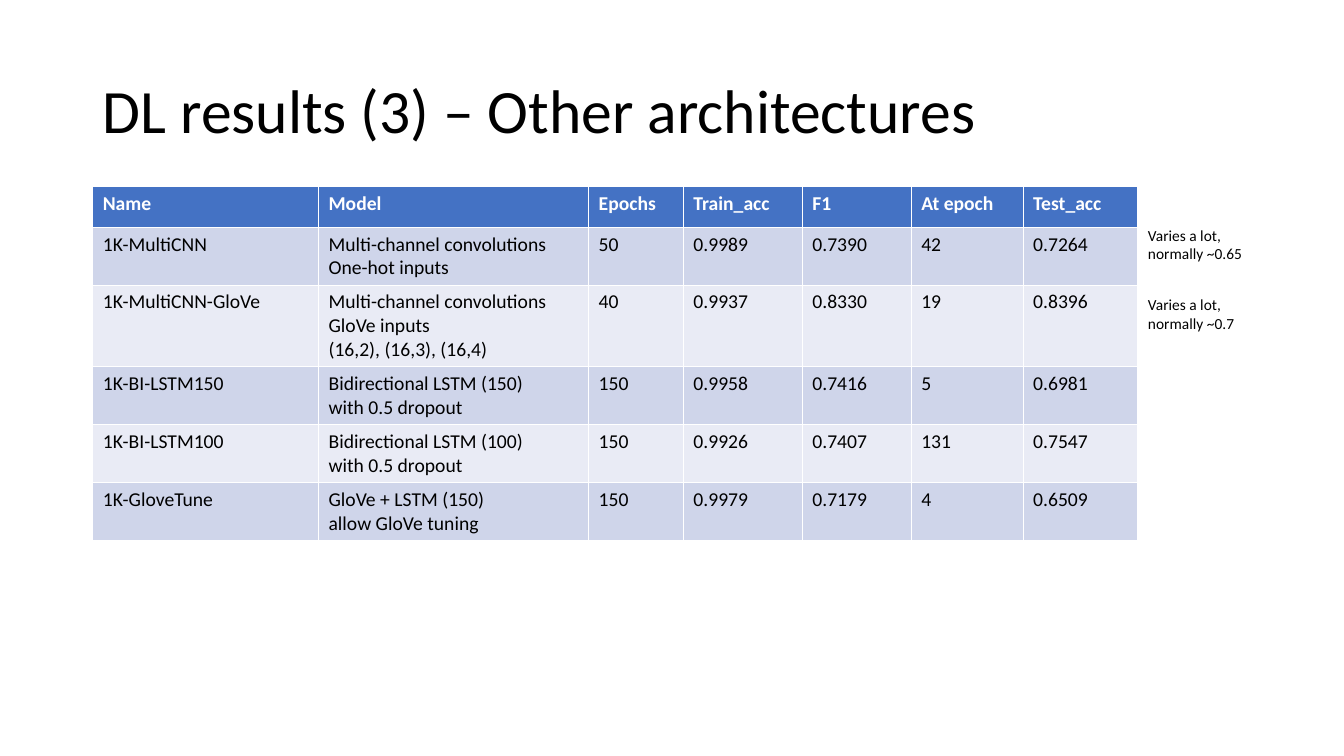
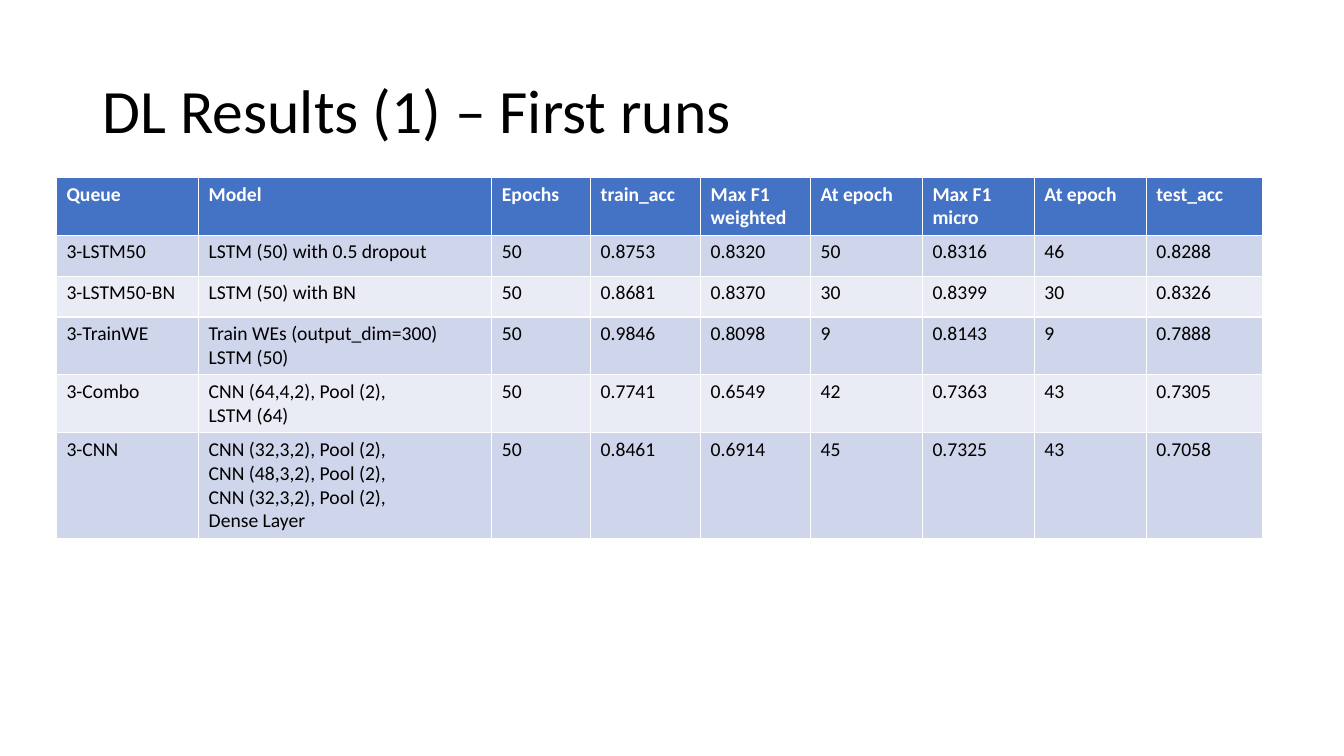
from pptx import Presentation
from pptx.dml.color import RGBColor
from pptx.enum.text import MSO_ANCHOR, MSO_AUTO_SIZE, PP_ALIGN
from pptx.util import Inches, Pt

BLACK, WHITE = "000000", "FFFFFF"
HEADER_FILL = "4472C4"
BAND_FILLS = ["CFD5EA", "E9EBF5"]
ROW_HEIGHT = 5.41
TITLE_FORMAT = {"size": Pt(44), "name": "Calibri", "bold": False}
HEADER_FORMAT = {"size": Pt(14), "name": "Calibri", "bold": True}
BODY_FORMAT = HEADER_FORMAT | {"bold": False}
NOTE_FORMAT = BODY_FORMAT | {"size": Pt(11)}

presentation = Presentation()
presentation.slide_width = Inches(13.333)
presentation.slide_height = Inches(7.5)


def place(left, top, width, height):
    """Turn percentages of the slide's size into a position and a size."""
    across, down = presentation.slide_width, presentation.slide_height
    return [round(share * length / 100) for share, length in
            zip((left, top, width, height), (across, down, across, down))]


def write(text_frame, text, font_format, color):
    text_frame.text = text
    for paragraph in text_frame.paragraphs:
        for run in paragraph.runs:
            for name, value in font_format.items():
                setattr(run.font, name, value)
            run.font.color.rgb = RGBColor.from_string(color)


# Column widths, table corners and note boxes are percentages of the slide.
slides = [
    {
        "title": "DL results (3) – Other architectures",
        "corner": (6.9, 24.67),
        "columns": [16.8, 20.1, 7.05, 8.85, 8.1, 8.33, 8.55],
        "rows": [
            ["Name", "Model", "Epochs", "Train_acc", "F1", "At epoch", "Test_acc"],
            ["1K-MultiCNN", "Multi-channel convolutions\nOne-hot inputs",
             "50", "0.9989", "0.7390", "42", "0.7264"],
            ["1K-MultiCNN-GloVe",
             "Multi-channel convolutions\nGloVe inputs\n(16,2), (16,3), (16,4)",
             "40", "0.9937", "0.8330", "19", "0.8396"],
            ["1K-BI-LSTM150", "Bidirectional LSTM (150)\nwith 0.5 dropout",
             "150", "0.9958", "0.7416", "5", "0.6981"],
            ["1K-BI-LSTM100", "Bidirectional LSTM (100)\nwith 0.5 dropout",
             "150", "0.9926", "0.7407", "131", "0.7547"],
            ["1K-GloveTune", "GloVe + LSTM (150)\nallow GloVe tuning",
             "150", "0.9979", "0.7179", "4", "0.6509"],
        ],
        "notes": [
            ("Varies a lot,\nnormally ~0.65", 29.2, 8.55),
            ("Varies a lot,\nnormally ~0.7", 38.4, 7.95),
        ],
    },
    {
        "title": "DL Results (1) – First runs",
        "corner": (4.2, 23.47),
        "columns": [10.58, 21.82, 7.35, 8.18, 8.18, 8.33, 8.33, 8.33, 8.62],
        "rows": [
            ["Queue", "Model", "Epochs", "train_acc", "Max F1 weighted",
             "At epoch", "Max F1 micro", "At epoch", "test_acc"],
            ["3-LSTM50", "LSTM (50) with 0.5 dropout",
             "50", "0.8753", "0.8320", "50", "0.8316", "46", "0.8288"],
            ["3-LSTM50-BN", "LSTM (50) with BN",
             "50", "0.8681", "0.8370", "30", "0.8399", "30", "0.8326"],
            ["3-TrainWE", "Train WEs (output_dim=300)\nLSTM (50)",
             "50", "0.9846", "0.8098", "9", "0.8143", "9", "0.7888"],
            ["3-Combo", "CNN (64,4,2), Pool (2),\nLSTM (64)",
             "50", "0.7741", "0.6549", "42", "0.7363", "43", "0.7305"],
            ["3-CNN",
             "CNN (32,3,2), Pool (2),\nCNN (48,3,2), Pool (2),\n"
             "CNN (32,3,2), Pool (2),\nDense Layer",
             "50", "0.8461", "0.6914", "45", "0.7325", "43", "0.7058"],
        ],
        "notes": [],
    },
]

title_only = presentation.slide_layouts.get_by_name("Title Only")
for content in slides:
    slide = presentation.slides.add_slide(title_only)

    title = slide.shapes.title
    title.left, title.top, title.width, title.height = place(6.9, 5.33, 86.25, 19.33)
    write(title.text_frame, content["title"], TITLE_FORMAT, BLACK)
    title.text_frame.auto_size = MSO_AUTO_SIZE.NONE
    title.text_frame.vertical_anchor = MSO_ANCHOR.MIDDLE
    title.text_frame.paragraphs[0].alignment = PP_ALIGN.LEFT
    title.text_frame.paragraphs[0].line_spacing = 0.9

    left, top = content["corner"]
    columns, rows = content["columns"], content["rows"]
    table_width = sum(columns)
    table = slide.shapes.add_table(
        len(rows), len(columns),
        *place(left, top, table_width, ROW_HEIGHT * len(rows))).table
    for column, share in zip(table.columns, columns):
        column.width = round(presentation.slide_width * share / 100)
    for row_number, row in enumerate(rows):
        if row_number == 0:
            fill, font_format, color = HEADER_FILL, HEADER_FORMAT, WHITE
        else:
            fill, font_format, color = BAND_FILLS[(row_number - 1) % 2], BODY_FORMAT, BLACK
        for column_number, text in enumerate(row):
            cell = table.cell(row_number, column_number)
            cell.fill.solid()
            cell.fill.fore_color.rgb = RGBColor.from_string(fill)
            write(cell.text_frame, text, font_format, color)

    for text, note_top, note_width in content["notes"]:
        note = slide.shapes.add_textbox(
            *place(left + table_width, note_top, note_width, 6.27))
        note.text_frame.word_wrap = False
        note.text_frame.auto_size = MSO_AUTO_SIZE.SHAPE_TO_FIT_TEXT
        write(note.text_frame, text, NOTE_FORMAT, BLACK)

presentation.save("out.pptx")
